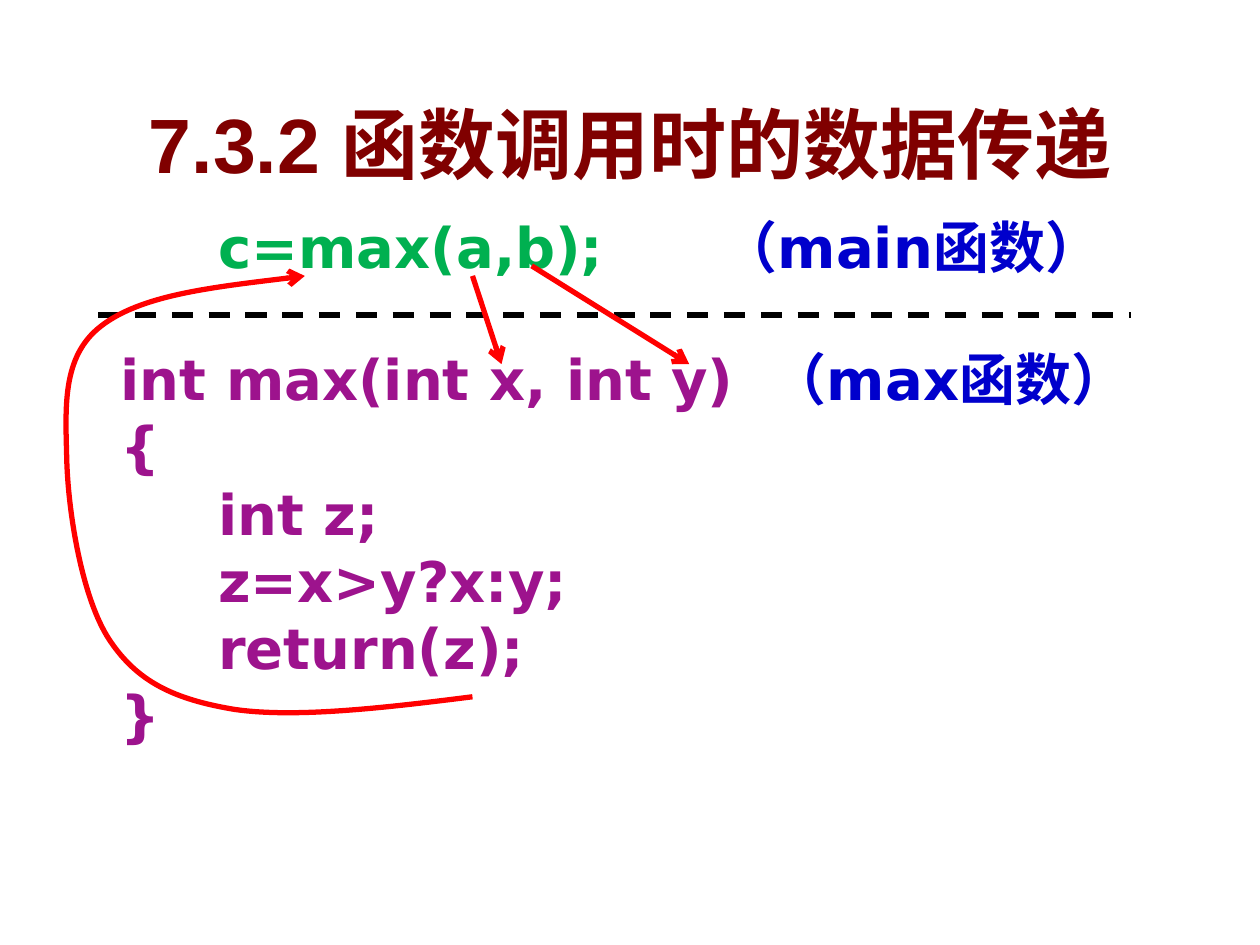
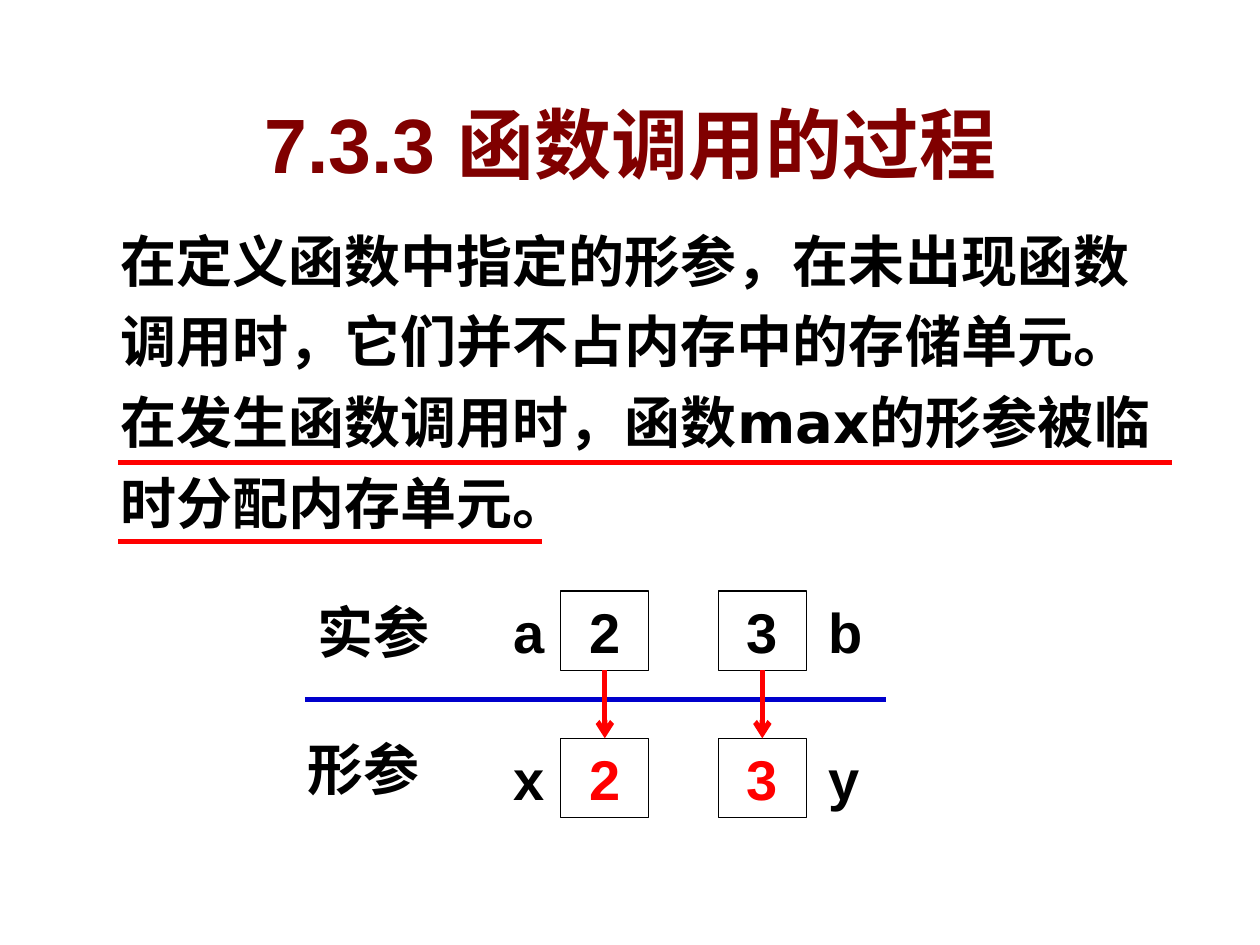
from lxml.etree import SubElement
from pptx import Presentation
from pptx.dml.color import RGBColor
from pptx.enum.dml import MSO_LINE
from pptx.enum.lang import MSO_LANGUAGE_ID
from pptx.enum.shapes import MSO_CONNECTOR, MSO_SHAPE
from pptx.enum.text import MSO_ANCHOR, PP_ALIGN
from pptx.oxml.ns import qn
from pptx.util import Inches, Pt

DASH = MSO_LINE.DASH
CHINESE = MSO_LANGUAGE_ID.SIMPLIFIED_CHINESE
STRAIGHT = MSO_CONNECTOR.STRAIGHT
PROCESS = MSO_SHAPE.FLOWCHART_PROCESS
MIDDLE = MSO_ANCHOR.MIDDLE
CENTER = PP_ALIGN.CENTER
TOP_SIDE, BOTTOM_SIDE = 0, 2

COLUMNS, ROWS = 10, 7.5
MAROON, GREEN, PURPLE, BLUE = "800000", "00B050", "9D138D", "0000CC"
RED, BLACK, WHITE, GREY = "FF0000", "000000", "FFFFFF", "C0C0C0"
HEADING_FONT, BODY_FONT = "Arial", "DejaVu Sans"
BODY_LEFT, BODY_TOP, BODY_WIDTH = 0.86, 1.64, 8.59
BODY_SIZE = 32


def grid(*lengths):
    """Turn columns and rows of the one-inch slide grid into lengths."""
    return [Inches(length) for length in lengths]


def rgb(color):
    return RGBColor.from_string(color)


def style_span(span, color=BLACK, name=HEADING_FONT, size=BODY_SIZE):
    font = span.font
    font.name, font.size, font.bold = name, Pt(size), True
    font.color.rgb = rgb(color)
    font.language_id = CHINESE


def add_text(page, place, text="", **style):
    box = page.shapes.add_textbox(*grid(*place))
    frame = box.text_frame
    frame.word_wrap = True
    frame.text = text
    for span in frame.paragraphs[0].runs:
        style_span(span, **style)
    return frame


def add_text_shadow(span):
    latin = span.font._element.find(qn("a:latin"))
    effects = SubElement(span.font._element, qn("a:effectLst"))
    shadow = SubElement(effects, qn("a:outerShdw"), dist=str(Pt(2)), dir="2700000")
    SubElement(shadow, qn("a:srgbClr"), val=GREY)
    latin.addprevious(effects)


def add_title(page, text):
    frame = add_text(page, (0.16, 0.71, 9.69, 0.84), text, color=MAROON, size=44)
    frame.vertical_anchor = MIDDLE
    para = frame.paragraphs[0]
    para.alignment = CENTER
    add_text_shadow(para.runs[0])


def style_line(line, color, arrow=False, dash=None):
    line.color.rgb = rgb(color)
    line.width = Pt(3)
    if dash:
        line.dash_style = dash
    if arrow:
        SubElement(line._get_or_add_ln(), qn("a:tailEnd"), type="arrow")


def add_line(page, start, end, color, **style):
    line = page.shapes.add_connector(STRAIGHT, *grid(*start, *end))
    style_line(line.line, color, **style)
    SubElement(line._element.spPr, qn("a:effectLst"))
    return line


def add_curved_arrow(page, start, points):
    """Draw cubic curves; each three points are two handles and an end."""
    builder = page.shapes.build_freeform(*grid(*start))
    builder.add_line_segments([grid(*point) for point in points], close=False)
    curve = builder.convert_to_shape()
    curve.shadow.inherit = False
    curve.fill.background()
    style_line(curve.line, RED, arrow=True)
    segments = curve._element.xpath(".//a:lnTo")
    outline = segments[0].getparent()
    for first in range(0, len(segments), 3):
        bezier = SubElement(outline, qn("a:cubicBezTo"))
        for segment in segments[first:first + 3]:
            bezier.append(segment[0])
            outline.remove(segment)


def add_code_line(para, code, color, note=None, note_at=0):
    """Write a code line, with an optional blue note at a tab stop."""
    if note:
        tabs = SubElement(para._p.get_or_add_pPr(), qn("a:tabLst"))
        SubElement(tabs, qn("a:tab"), pos=str(Inches(note_at)), algn="l")
    pieces = [(code, color)] + ([("\t" + note, BLUE)] if note else [])
    for text, piece_color in pieces:
        span = para.add_run()
        span.text = text
        style_span(span, piece_color, BODY_FONT)


def add_value_cell(page, left, top, value, color):
    cell = page.shapes.add_shape(PROCESS, *grid(left, top, 0.7, 0.63))
    cell.shadow.inherit = False
    cell.fill.solid()
    cell.fill.fore_color.rgb = rgb(WHITE)
    cell.line.color.rgb = rgb(BLACK)
    cell.line.width = Pt(0.75)
    frame = cell.text_frame
    frame.word_wrap = False
    frame.vertical_anchor = MSO_ANCHOR.TOP
    frame.text = value
    para = frame.paragraphs[0]
    para.alignment = CENTER
    style_span(para.runs[0], color)
    return cell


def build_data_passing(page):
    add_title(page, "7.3.2 函数调用时的数据传递")
    code_lines = [
        ("     c=max(a,b);", GREEN, "（main函数）", 4.77),
        ("int max(int x, int y)", PURPLE, "（max函数）", 5.16),
        ("{", PURPLE),
        ("     int z;", PURPLE),
        ("     z=x>y?x:y;", PURPLE),
        ("     return(z);", PURPLE),
        ("}", PURPLE),
    ]
    frame = add_text(page, (BODY_LEFT, BODY_TOP, BODY_WIDTH, 4.77))
    for index, code_line in enumerate(code_lines):
        para = frame.add_paragraph() if index else frame.paragraphs[0]
        add_code_line(para, *code_line)
    frame.paragraphs[1].space_before = Pt(37)

    add_line(page, (0.78, 2.5), (8.98, 2.5), BLACK, dash=DASH)
    add_line(page, (3.75, 2.19), (3.98, 2.89), RED, arrow=True)
    add_line(page, (4.22, 2.11), (5.47, 2.89), RED, arrow=True)
    add_curved_arrow(page, (3.75, 5.53), [
        (3.04, 5.62), (2.34, 5.7), (1.86, 5.63),
        (1.38, 5.55), (1.09, 5.41), (0.87, 5.08),
        (0.65, 4.75), (0.54, 4.06), (0.53, 3.64),
        (0.52, 3.23), (0.49, 2.83), (0.8, 2.59),
        (1.12, 2.34), (1.77, 2.27), (2.42, 2.19),
    ])


def build_call_process(page):
    add_title(page, "7.3.3 函数调用的过程")
    frame = add_text(
        page, (BODY_LEFT, BODY_TOP, BODY_WIDTH, 3.05),
        "在定义函数中指定的形参，在未出现函数调用时，它们并不占内存中的存储单元。"
        "在发生函数调用时，函数max的形参被临时分配内存单元。",
        name=BODY_FONT)
    frame.paragraphs[0].line_spacing = 1.2
    for right, row in ((9.3, 3.67), (4.3, 4.3)):
        add_line(page, (0.94, row), (right, row), RED)
    add_line(page, (2.42, 5.55), (7.03, 5.55), BLUE)

    actual_row, formal_row = 4.69, 5.86
    add_text(page, (2.42, actual_row, 1.25, 0.64), "实参")
    add_text(page, (2.34, 5.78, 1.25, 0.64), "形参")
    arguments = [
        (4.45, "2", 3.98, "a", "x"),
        (5.7, "3", 6.48, "b", "y"),
    ]
    for left, value, name_left, actual_name, formal_name in arguments:
        actual = add_value_cell(page, left, actual_row, value, BLACK)
        formal = add_value_cell(page, left, formal_row, value, RED)
        add_text(page, (name_left, actual_row, 0.55, 0.64), actual_name)
        add_text(page, (name_left, formal_row, 0.55, 0.64), formal_name)
        middle = left + 0.35
        arrow = add_line(page, (middle, 5.32), (middle, formal_row), RED, arrow=True)
        arrow.begin_connect(actual, BOTTOM_SIDE)
        arrow.end_connect(formal, TOP_SIDE)


def main():
    deck = Presentation()
    deck.slide_width, deck.slide_height = grid(COLUMNS, ROWS)
    blank = deck.slide_layouts[6]
    for build in (build_data_passing, build_call_process):
        build(deck.slides.add_slide(blank))
    deck.save("out.pptx")


if __name__ == "__main__":
    main()
